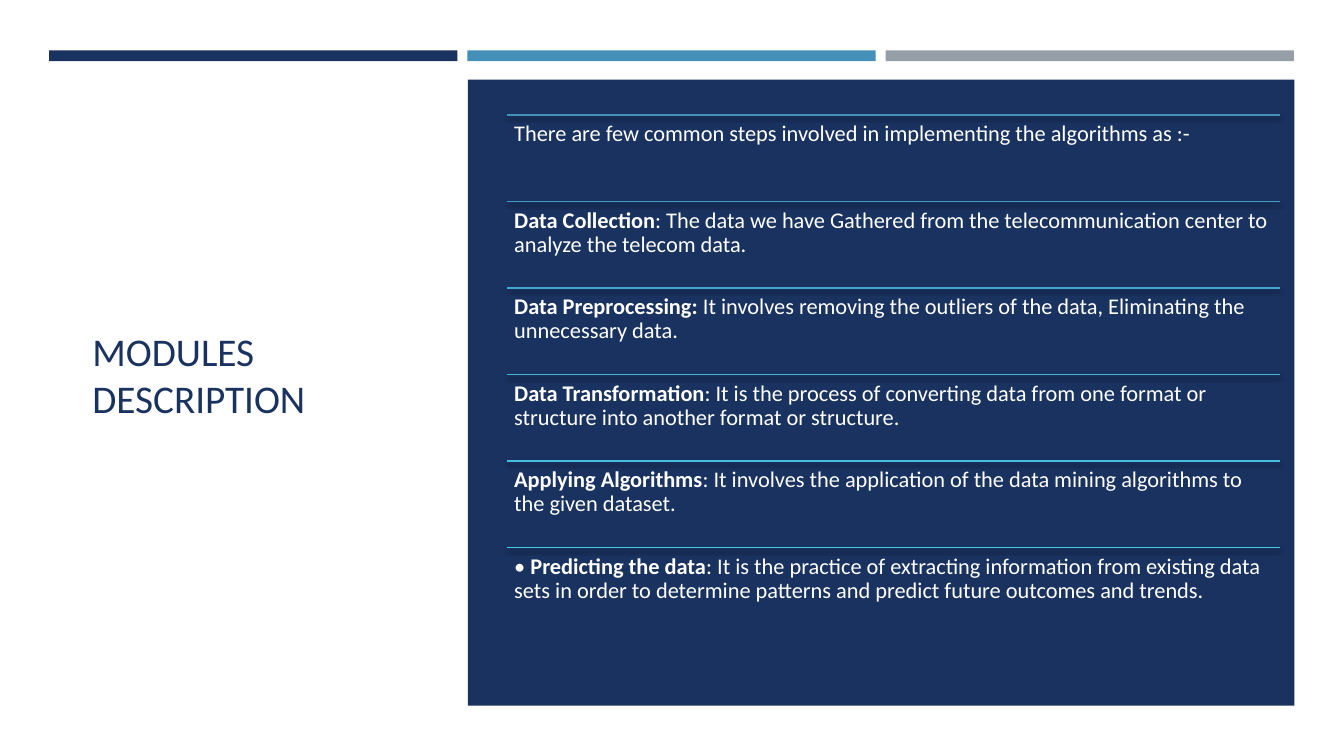
from dataclasses import dataclass

from lxml import etree
from pptx import Presentation
from pptx.dml.color import RGBColor
from pptx.enum.shapes import MSO_CONNECTOR, MSO_SHAPE
from pptx.enum.text import MSO_ANCHOR
from pptx.oxml import parse_xml
from pptx.oxml.ns import nsdecls
from pptx.slide import Slide
from pptx.text.text import TextFrame
from pptx.util import Cm, Pt

RECTANGLE = MSO_SHAPE.RECTANGLE
STRAIGHT = MSO_CONNECTOR.STRAIGHT
TOP, MIDDLE = MSO_ANCHOR.TOP, MSO_ANCHOR.MIDDLE

WHITE = RGBColor(0xFF, 0xFF, 0xFF)
NAVY = RGBColor(0x1A, 0x32, 0x60)
BLUE = RGBColor(0x45, 0x90, 0xB8)
GREY = RGBColor(0x96, 0x9F, 0xA7)
BLUE_2 = RGBColor(0x43, 0x9B, 0xC4)
BLUE_3 = RGBColor(0x43, 0xA7, 0xCE)
BLUE_4 = RGBColor(0x43, 0xB3, 0xD7)
BLUE_5 = RGBColor(0x44, 0xBF, 0xE0)
CYAN = RGBColor(0x45, 0xCB, 0xE8)

FONT = "Calibri"
RULE_SHADOW = (
    f'<a:effectLst {nsdecls("a")}>'
    f'<a:outerShdw blurRad="{Pt(3)}" dist="{Pt(2)}" dir="5400000" algn="ctr" rotWithShape="0">'
    '<a:srgbClr val="000000"><a:alpha val="55000"/></a:srgbClr>'
    "</a:outerShdw></a:effectLst>"
)


@dataclass(frozen=True)
class Box:
    """Position and size in centimetres."""
    left: float
    top: float
    width: float
    height: float

    def lengths(self) -> tuple[Cm, Cm, Cm, Cm]:
        return Cm(self.left), Cm(self.top), Cm(self.width), Cm(self.height)


@dataclass(frozen=True)
class Step:
    rule_color: RGBColor
    description: str
    name: str = ""
    bullet: str = ""


TITLE_BOX = Box(2.08, 2.9, 8.48, 13.08)
PANEL_BOX = Box(11.79, 2.01, 20.83, 15.77)
FIRST_BAR = Box(1.24, 1.27, 10.29, 0.27)
BAR_PITCH = 10.54
FIRST_STEP = Box(12.78, 2.9, 19.48, 2.18)
STEP_INSET = 0.18

STEPS = (
    Step(BLUE, "There are few common steps involved in implementing the algorithms as :-"),
    Step(BLUE_2, ": The data we have Gathered from the telecommunication center to "
         "analyze the telecom data.", "Data Collection"),
    Step(BLUE_3, "It involves removing the outliers of the data, Eliminating the "
         "unnecessary data.", "Data Preprocessing: "),
    Step(BLUE_4, ": It is the process of converting data from one format or "
         "structure into another format or structure.", "Data Transformation"),
    Step(BLUE_5, ": It involves the application of the data mining algorithms to "
         "the given dataset.", "Applying Algorithms"),
    Step(CYAN, ": It is the practice of extracting information from existing data "
         "sets in order to determine patterns and predict future outcomes and trends.",
         "Predicting the data", "• "),
)


def add_block(slide: Slide, box: Box, color: RGBColor) -> None:
    block = slide.shapes.add_shape(RECTANGLE, *box.lengths())
    block.shadow.inherit = False
    block.fill.solid()
    block.fill.fore_color.rgb = color
    block.line.fill.background()


def add_text_frame(slide: Slide, box: Box, anchor: MSO_ANCHOR, inset: Cm | None = None) -> TextFrame:
    frame = slide.shapes.add_textbox(*box.lengths()).text_frame
    frame.word_wrap = True
    frame.vertical_anchor = anchor
    if inset is not None:
        for side in ("left", "top", "right", "bottom"):
            setattr(frame, f"margin_{side}", inset)
    return frame


def add_run(frame: TextFrame, text: str, size: int, color: RGBColor, bold: bool = False) -> None:
    run = frame.paragraphs[0].add_run()
    run.text = text
    for attribute, value in {"name": FONT, "size": Pt(size), "bold": bold}.items():
        setattr(run.font, attribute, value)
    run.font.color.rgb = color


def add_rule(slide: Slide, box: Box, color: RGBColor) -> None:
    """Draw a shadowed line along the top edge of the box."""
    left, top, width, _ = box.lengths()
    rule = slide.shapes.add_connector(STRAIGHT, left, top, left + width, top)
    rule.line.color.rgb = color
    rule.line.width = Pt(1)
    shadow: etree._Element = parse_xml(RULE_SHADOW)
    rule._element.spPr.append(shadow)


def add_step(slide: Slide, step: Step, box: Box) -> None:
    add_rule(slide, box, step.rule_color)
    frame = add_text_frame(slide, box, TOP, Cm(STEP_INSET))
    frame.paragraphs[0].line_spacing = 0.9
    for text, bold in ((step.bullet, False), (step.name, True), (step.description, False)):
        if text:
            add_run(frame, text, 16, WHITE, bold)


def main() -> None:
    presentation = Presentation()
    presentation.slide_width, presentation.slide_height = Cm(33.87), Cm(19.05)
    slide = presentation.slides.add_slide(presentation.slide_layouts[6])
    slide.background.fill.solid()
    slide.background.fill.fore_color.rgb = WHITE

    title = add_text_frame(slide, TITLE_BOX, MIDDLE)
    add_run(title, "MODULES DESCRIPTION", 28, NAVY)

    for index, color in enumerate((NAVY, BLUE, GREY)):
        bar = Box(FIRST_BAR.left + index * BAR_PITCH, FIRST_BAR.top,
                  FIRST_BAR.width, FIRST_BAR.height)
        add_block(slide, bar, color)
    add_block(slide, PANEL_BOX, NAVY)

    for index, step in enumerate(STEPS):
        row = Box(FIRST_STEP.left, FIRST_STEP.top + index * FIRST_STEP.height,
                  FIRST_STEP.width, FIRST_STEP.height)
        add_step(slide, step, row)

    presentation.save("out.pptx")


if __name__ == "__main__":
    main()
